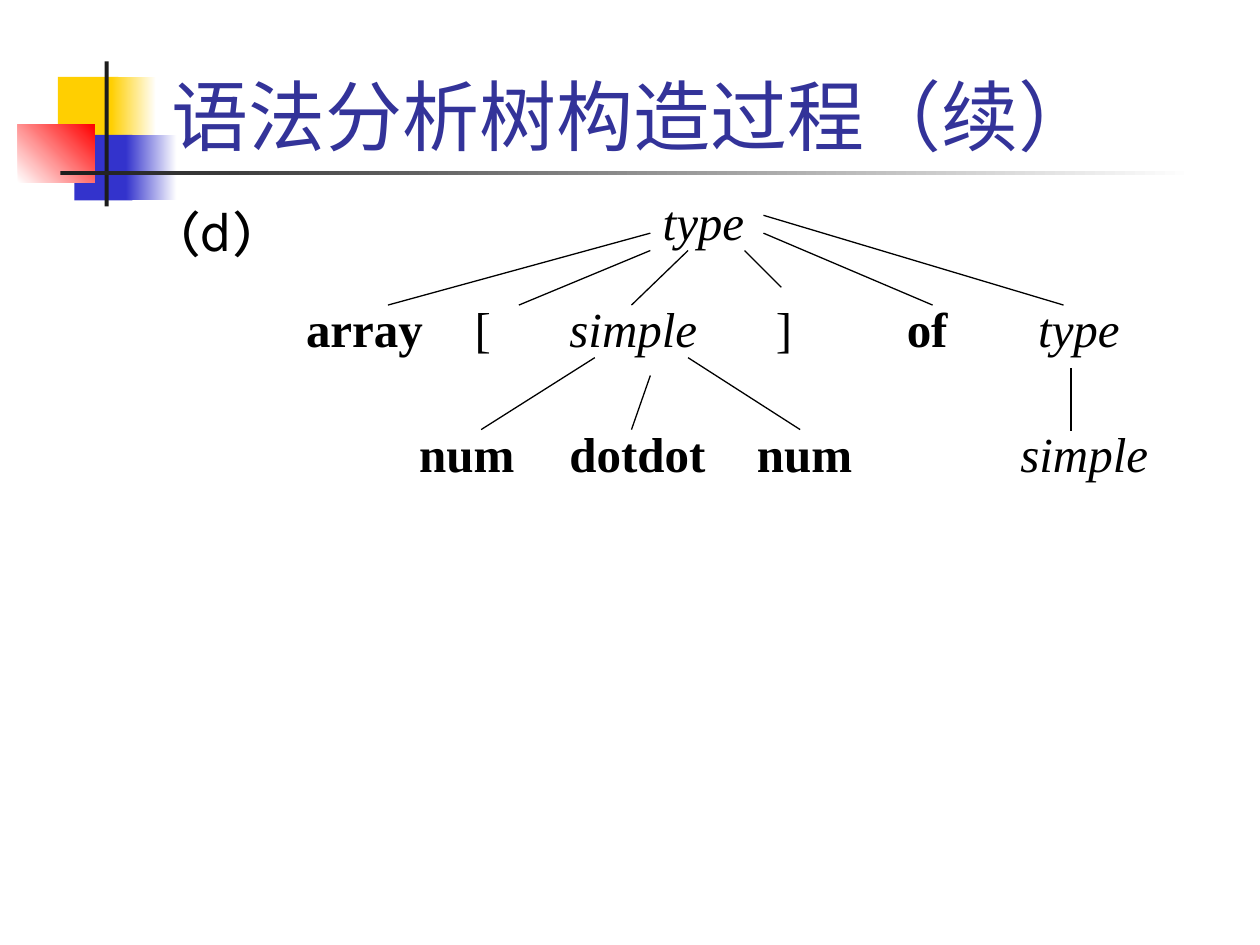
from dataclasses import dataclass

from lxml import etree
from pptx import Presentation
from pptx import util as u
from pptx.dml.color import RGBColor
from pptx.enum import shapes, text
from pptx.oxml.ns import qn
from pptx.slide import Slide

WHITE = RGBColor(0xFF, 0xFF, 0xFF)
BLACK = RGBColor(0x00, 0x00, 0x00)
YELLOW = RGBColor(0xFF, 0xCF, 0x01)
BLUE = RGBColor(0x33, 0x33, 0xCC)
RED = RGBColor(0xFF, 0x00, 0x00)
CHARCOAL = RGBColor(0x1C, 0x1C, 0x1C)
TITLE_BLUE = RGBColor(0x33, 0x33, 0x99)

BOLD, ITALIC, PLAIN = "bold", "italic", "plain"
NODE_HEIGHT = 1.45

# Each level: top, then (word, left, width, style) for its nodes
LEVELS = [
    (3.63, [("type", 13.11, 5.66, ITALIC)]),
    (5.79, [("array", 5.92, 5.66, BOLD), ("[", 9.32, 5.66, PLAIN),
            ("simple", 11.23, 5.66, ITALIC), ("]", 15.39, 5.66, PLAIN),
            ("of", 18.03, 5.66, BOLD), ("type", 20.68, 2.64, ITALIC)]),
    (8.31, [("num", 8.2, 5.31, BOLD), ("dotdot", 11.23, 5.31, BOLD),
            ("num", 15.01, 5.31, BOLD), ("simple", 20.32, 3.38, ITALIC)]),
]

# Parent end and child end of each branch: x1, y1, x2, y2
BRANCHES = [
    (13.11, 4.7, 7.82, 6.15), (13.11, 5.05, 10.46, 6.15),
    (13.87, 5.05, 12.73, 6.15), (15.01, 5.05, 15.75, 5.79),
    (15.39, 4.7, 18.8, 6.15), (15.39, 4.34, 21.44, 6.15),
    (11.99, 7.21, 9.7, 8.66), (13.11, 7.57, 12.73, 8.66),
    (13.87, 7.21, 16.13, 8.66), (21.59, 7.42, 21.59, 8.69),
]


@dataclass
class Sketch:
    slide: Slide
    serif: str = "Times New Roman"
    sans: str = "Karla"

    def block(self, left, top, width, height, color, fade_to=None, angle=0):
        """Draw a borderless rectangle, plain or fading to a second colour."""
        block = self.slide.shapes.add_shape(
            shapes.MSO_SHAPE.RECTANGLE,
            u.Cm(left), u.Cm(top), u.Cm(width), u.Cm(height))
        block.shadow.inherit = False
        block.line.fill.background()
        if fade_to is None:
            block.fill.solid()
            block.fill.fore_color.rgb = color
            return
        block.fill.gradient()
        block.fill.gradient_angle = angle
        for stop, shade, position in zip(
                block.fill.gradient_stops, (color, fade_to), (0, 1)):
            stop.color.rgb = shade
            stop.position = position

    def add_span(self, frame, words, font, size, color=BLACK, style=PLAIN):
        span = frame.paragraphs[0].add_run()
        span.text = words
        span.font.name = font
        span.font.size = u.Pt(size)
        span.font.color.rgb = color
        span.font.bold = style == BOLD
        span.font.italic = style == ITALIC
        return span

    def title(self, words):
        title = self.slide.shapes.title
        title.left, title.top = u.Cm(3.2), u.Cm(0.2)
        title.width, title.height = u.Cm(21.64), u.Cm(3.18)
        frame = title.text_frame
        frame.vertical_anchor = text.MSO_ANCHOR.BOTTOM
        frame.auto_size = text.MSO_AUTO_SIZE.NONE
        frame.paragraphs[0].alignment = text.PP_ALIGN.LEFT
        self.add_span(frame, words, self.serif, 44, TITLE_BLUE)
        title.element.getparent().append(title.element)  # in front of the blocks

    def box(self, left, top, width, height, inset=0.13):
        box = self.slide.shapes.add_textbox(
            u.Cm(left), u.Cm(top), u.Cm(width), u.Cm(height))
        box.text_frame.word_wrap = True
        box.text_frame.margin_top = u.Cm(inset)
        return box.text_frame

    def node(self, word, left, top, width, style):
        frame = self.box(left, top, width, NODE_HEIGHT, inset=0.23)
        self.add_span(frame, word, self.serif, 28, style=style)

    def label(self, words, left, top, width, height):
        frame = self.box(left, top, width, height)
        span = self.add_span(frame, words, self.sans, 32)
        east_asian = etree.SubElement(span.font._element, qn("a:ea"))
        east_asian.set("typeface", self.sans)

    def branch(self, x1, y1, x2, y2):
        branch = self.slide.shapes.add_connector(
            shapes.MSO_CONNECTOR.STRAIGHT,
            u.Cm(x1), u.Cm(y1), u.Cm(x2), u.Cm(y2))
        branch.line.color.rgb = BLACK
        branch.line.width = u.Pt(0.75)
        etree.SubElement(branch.element.spPr, qn("a:effectLst"))


def main():
    deck = Presentation()
    deck.slide_width, deck.slide_height = u.Cm(25.4), u.Cm(19.05)
    sketch = Sketch(deck.slides.add_slide(deck.slide_layouts[5]))

    sketch.block(1.17, 1.55, 1.22, 1.32, YELLOW)
    sketch.block(2.24, 1.55, 0.91, 1.32, YELLOW, WHITE)
    sketch.block(1.5, 2.72, 1.17, 1.32, BLUE)
    sketch.block(2.54, 2.72, 1.02, 1.32, BLUE, WHITE)
    sketch.block(0.36, 2.51, 1.55, 1.17, WHITE, RED, angle=45)
    sketch.block(2.11, 1.24, 0.08, 2.92, CHARCOAL)
    sketch.block(1.22, 3.45, 22.86, 0.08, CHARCOAL, WHITE)
    sketch.title("语法分析树构造过程（续）")

    for top, nodes in LEVELS:
        for word, left, width, style in nodes:
            sketch.node(word, left, top, width, style)
    for ends in BRANCHES:
        sketch.branch(*ends)
    sketch.label("(d)", 3.38, 3.81, 2.11, 11.63)

    deck.save("out.pptx")


if __name__ == "__main__":
    main()
